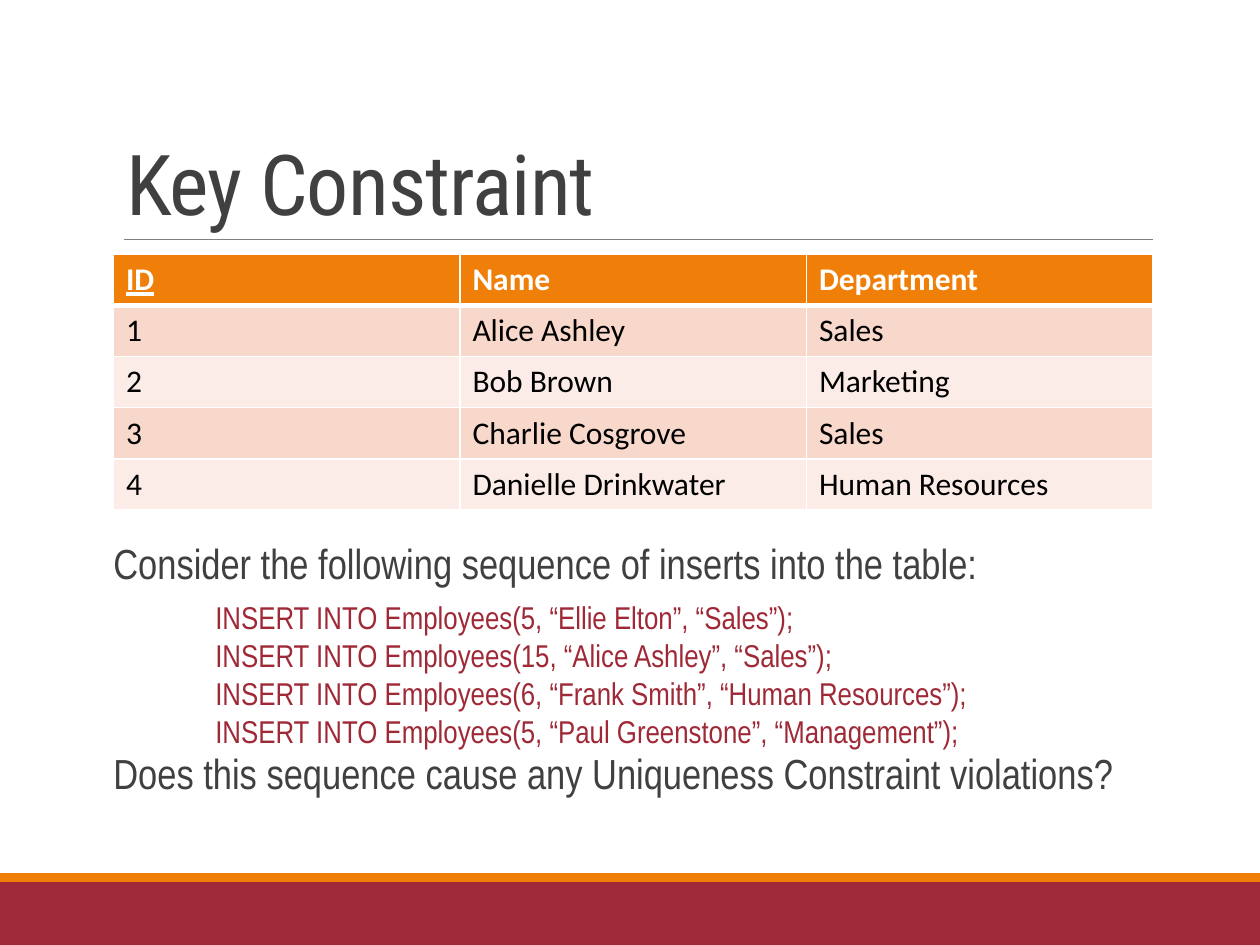
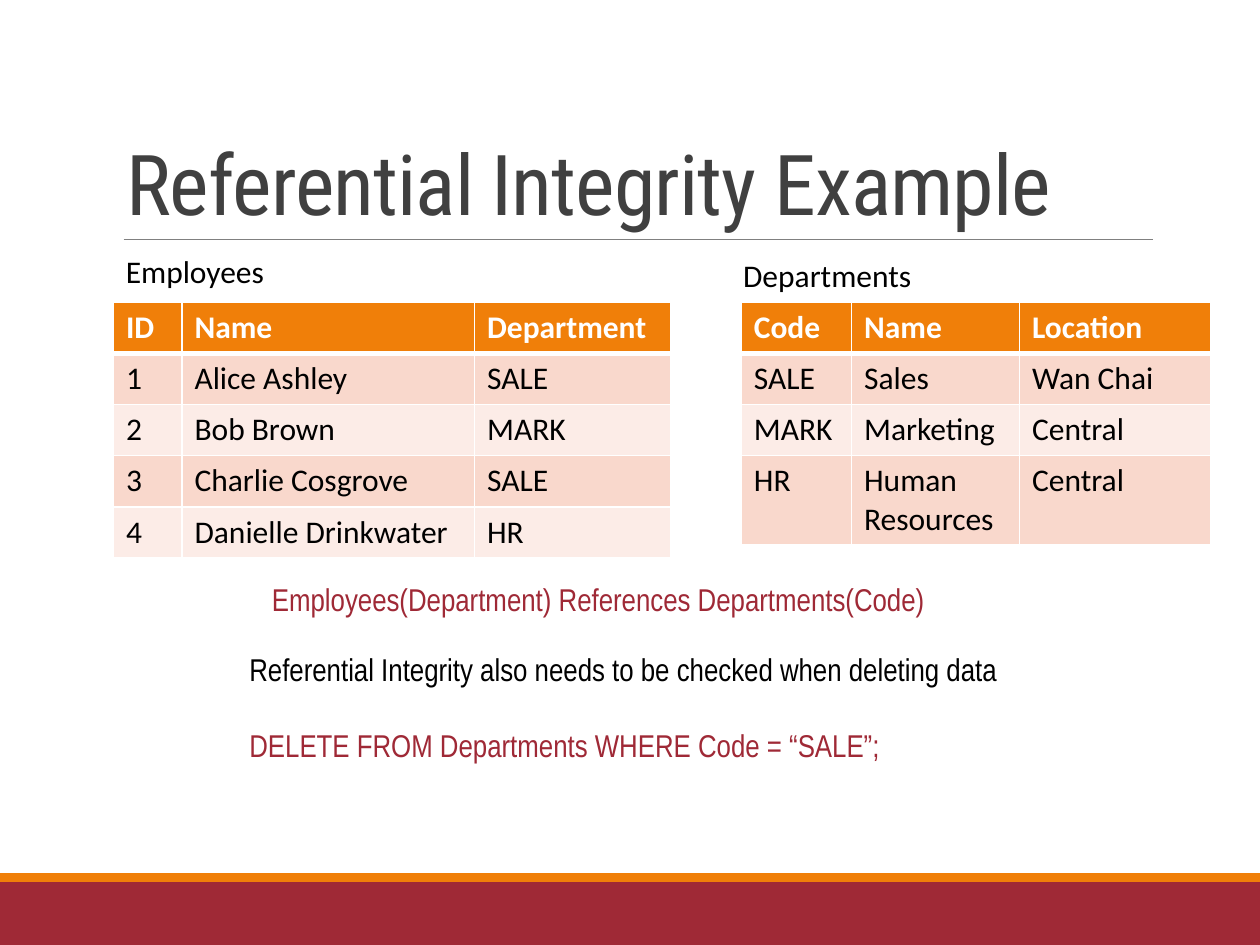
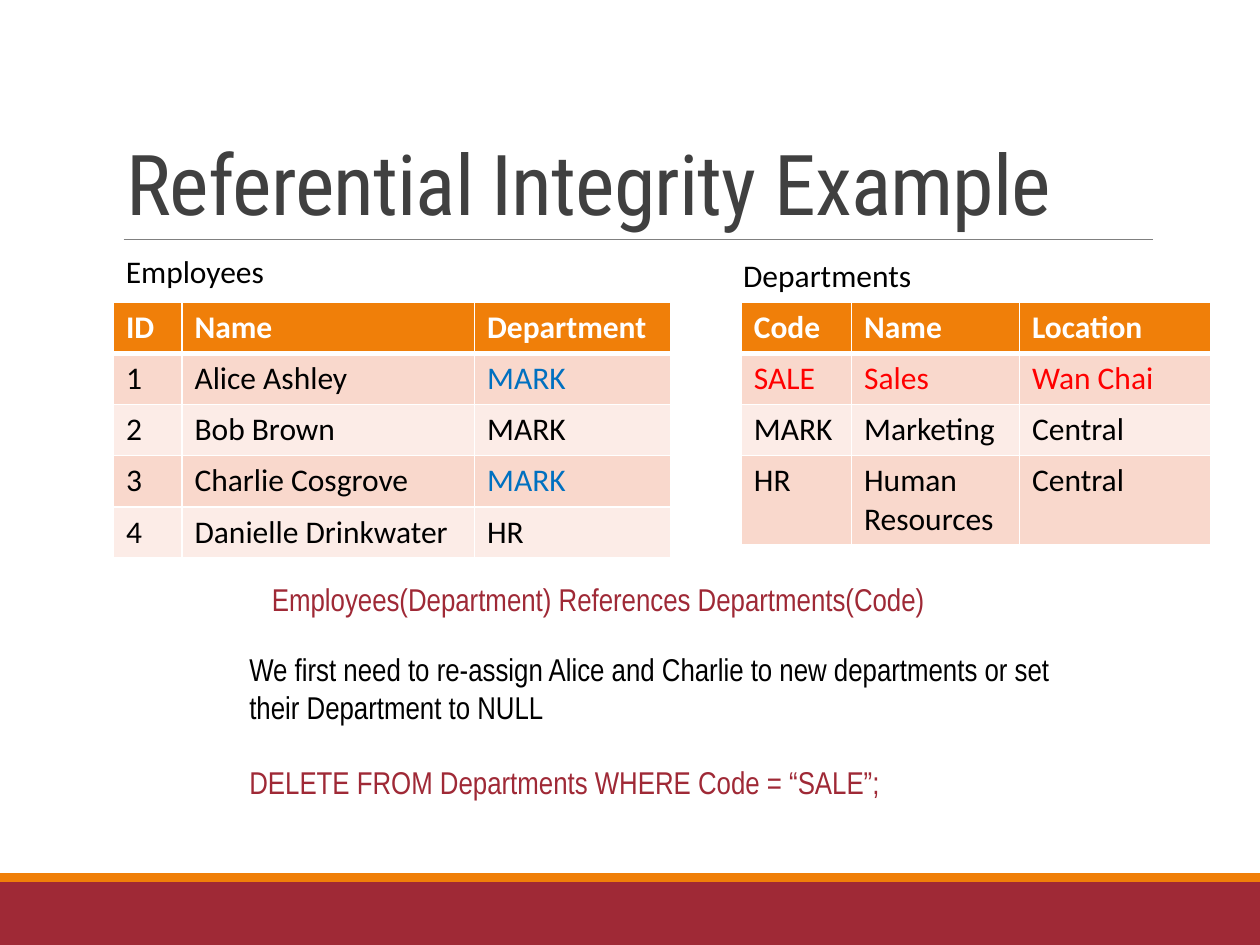
from dataclasses import dataclass

from lxml.etree import SubElement
from pptx import Presentation
from pptx.dml.color import RGBColor
from pptx.enum.shapes import MSO_CONNECTOR, MSO_SHAPE
from pptx.enum.text import MSO_ANCHOR, MSO_AUTO_SIZE, PP_ALIGN
from pptx.oxml.ns import qn
from pptx.util import Pt


@dataclass(frozen=True)
class Theme:
    wine: str = "9F2936"
    orange: str = "F07F09"
    gray: str = "404040"
    rule: str = "808080"
    white: str = "FFFFFF"
    black: str = "000000"
    red: str = "FF0000"
    blue: str = "0070C0"
    bands: tuple = ("FCECE7", "F9D8CC")
    head: str = "Roboto Condensed"
    prose: str = "Arial Narrow"
    plain: str = "Calibri"
    big: float = 48
    mid: float = 24
    small: float = 18
    wide: float = 720
    tall: float = 540
    left: float = 64.8
    span: float = 594
    row: float = 29.2
    line: float = 21.6


T = Theme()


def assign(item, values):
    for key, value in values.items():
        setattr(item, key, value)


def color(code):
    return RGBColor.from_string(code)


def style(font, face, size, tint, **extra):
    assign(font, {"name": face, "size": Pt(size), **extra})
    font.color.rgb = color(tint)


def place(item, left, top, width, height):
    spots = {"left": left, "top": top, "width": width, "height": height}
    assign(item, {key: Pt(value) for key, value in spots.items()})


def add_band(slide, top, height, tint):
    band = slide.shapes.add_shape(
        MSO_SHAPE.RECTANGLE, 0, Pt(top), Pt(T.wide), Pt(height))
    band.shadow.inherit = False
    band.fill.solid()
    band.fill.fore_color.rgb = color(tint)
    band.line.fill.background()


def add_rule(slide, left, right, top):
    rule = slide.shapes.add_connector(
        MSO_CONNECTOR.STRAIGHT, Pt(left), Pt(top), Pt(right), Pt(top))
    rule.line.width = Pt(0.5)
    rule.line.color.rgb = color(T.rule)
    SubElement(rule._element.spPr, qn("a:effectLst"))


def add_slide(deck, text):
    slide = deck.slides.add_slide(deck.slide_layouts[5])
    add_band(slide, 504, 36, T.wine)
    add_band(slide, 499, 5, T.orange)
    add_rule(slide, 70.6, T.left + T.span, 136.8)
    title = slide.shapes.title
    place(title, T.left, 22.3, T.span, 114.5)
    frame = title.text_frame
    assign(frame, {"text": text, "vertical_anchor": MSO_ANCHOR.BOTTOM,
                   "auto_size": MSO_AUTO_SIZE.NONE, "word_wrap": True})
    para = frame.paragraphs[0]
    assign(para, {"alignment": PP_ALIGN.LEFT, "line_spacing": 0.85})
    run = para.runs[0]
    style(run.font, T.head, T.big, T.gray)
    run._r.get_or_add_rPr().set("spc", "-50")
    return slide


def add_text(slide, spot, lines, face=T.prose, size=T.small, gap=0, **form):
    box = slide.shapes.add_textbox(*map(Pt, spot))
    frame = box.text_frame
    assign(frame, {"word_wrap": True,
                   "auto_size": MSO_AUTO_SIZE.SHAPE_TO_FIT_TEXT})
    for index, (text, tint) in enumerate(lines):
        para = frame.paragraphs[0] if index == 0 else frame.add_paragraph()
        assign(para, form)
        if index and gap:
            para.space_before = Pt(gap)
        run = para.add_run()
        run.text = text
        style(run.font, face, size, tint)
    return frame


def add_edges(cell, row):
    props = cell._tc.get_or_add_tcPr()
    widths = {"L": 1, "R": 1, "T": 3 if row == 1 else 1,
              "B": 3 if row == 0 else 1}
    for side, width in widths.items():
        edge = SubElement(props, qn(f"a:ln{side}"), w=str(Pt(width)))
        fill = SubElement(edge, qn("a:solidFill"))
        SubElement(fill, qn("a:srgbClr"), val=T.white)


def add_grid(slide, left, top, widths, rows, tints=None, last=T.row):
    tints = tints or {}
    heights = [T.row] * (len(rows) - 1) + [last]
    table = slide.shapes.add_table(
        len(rows), len(widths), Pt(left), Pt(top),
        Pt(sum(widths)), Pt(sum(heights))).table
    for column, width in zip(table.columns, widths):
        column.width = Pt(width)
    for line, height in zip(table.rows, heights):
        line.height = Pt(height)
    for row, texts in enumerate(rows):
        first = row == 0
        for col, text in enumerate(texts):
            cell = table.cell(row, col)
            add_edges(cell, row)
            cell.fill.solid()
            cell.fill.fore_color.rgb = color(
                T.orange if first else T.bands[row % 2])
            cell.text = text
            tint = T.white if first else tints.get((row, col), T.black)
            style(cell.text_frame.paragraphs[0].runs[0].font,
                  T.plain, T.small, tint, bold=first)
    return table


def list_staff(places):
    names = ["Alice Ashley", "Bob Brown", "Charlie Cosgrove",
             "Danielle Drinkwater"]
    staff = [(str(rank), name, place)
             for rank, (name, place) in enumerate(zip(names, places), 1)]
    return [("ID", "Name", "Department")] + staff


def add_key(deck):
    slide = add_slide(deck, "Key Constraint")
    frame = add_text(slide, (T.left, 307, T.span, 160), [
        ("Consider the following sequence of inserts into the table:", T.gray),
        ("Does this sequence cause any Uniqueness Constraint violations?",
         T.gray),
    ], size=T.mid, gap=94, line_spacing=0.9)
    assign(frame, {"margin_left": 0, "margin_right": 0})
    table = add_grid(
        slide, T.left, 145.4, [T.span / 3] * 3,
        list_staff(["Sales", "Marketing", "Sales", "Human Resources"]))
    table.cell(0, 0).text_frame.paragraphs[0].runs[0].font.underline = True
    values = ["5, “Ellie Elton”, “Sales”", "15, “Alice Ashley”, “Sales”",
              "6, “Frank Smith”, “Human Resources”",
              "5, “Paul Greenstone”, “Management”"]
    add_text(slide, (116, 338.4, 453.6, 94.3),
             [(f"INSERT INTO Employees({value});", T.wine)
              for value in values])


def add_refer(deck, places, note, height, staff=None, units=None):
    slide = add_slide(deck, "Referential Integrity Example")
    add_grid(slide, T.left, 172.8, [39.2, 167.2, 112.4],
             list_staff(places), staff)
    add_grid(slide, 423.6, 172.8, [63, 96, 109.2], [
        ("Code", "Name", "Location"),
        ("SALE", "Sales", "Wan Chai"),
        ("MARK", "Marketing", "Central"),
        ("HR", "Human Resources", "Central"),
    ], units, 50.4)
    for text, left, top in (("Employees", T.left, 140.4),
                            ("Departments", 417.6, 142.9)):
        add_text(slide, (left, top, 237.6, 29), [(text, T.black)], T.plain)
    add_text(slide, (135.4, 367.9, 479.5, height), [
        (note, T.black),
        ("DELETE FROM Departments WHERE Code = “SALE”;", T.wine),
    ], gap=T.line)
    add_text(slide, (148.3, 327.6, 453.6, 29), [
        ("Employees(Department) References Departments(Code)", T.wine)])


def main():
    deck = Presentation()
    assign(deck, {"slide_width": Pt(T.wide), "slide_height": Pt(T.tall)})
    add_key(deck)
    add_refer(
        deck, ["SALE", "MARK", "SALE", "HR"],
        "Referential Integrity also needs to be checked when deleting data",
        72.7)
    add_refer(
        deck, ["MARK", "MARK", "MARK", "HR"],
        "We first need to re-assign Alice and Charlie to new departments "
        "or set their Department to NULL", 94.3,
        {(row, 2): T.blue for row in (1, 3)},
        {(1, col): T.red for col in range(3)})
    deck.save("out.pptx")


if __name__ == "__main__":
    main()
